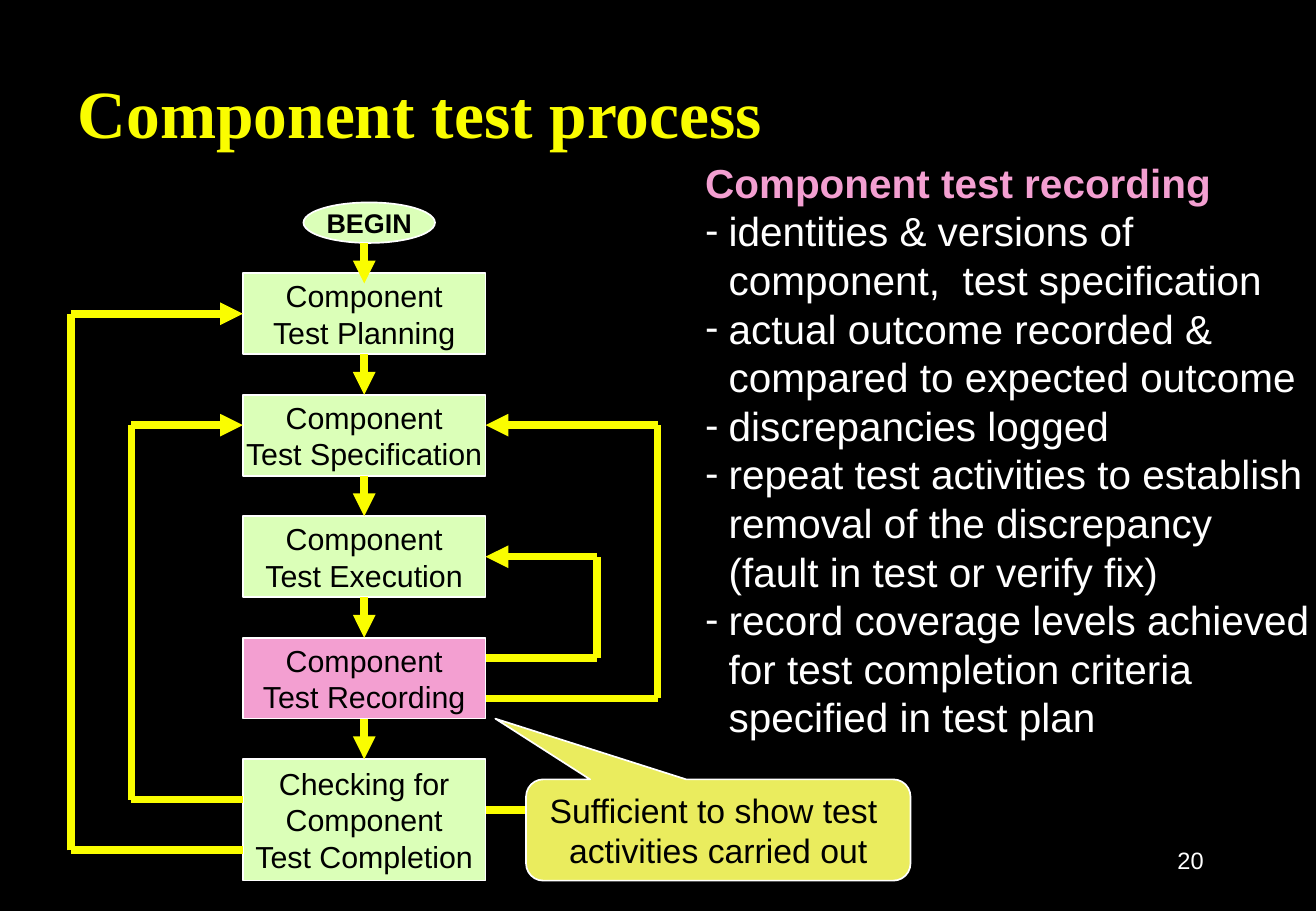
from pptx import Presentation
from pptx.dml.color import RGBColor
from pptx.enum.shapes import MSO_CONNECTOR as Connector, MSO_SHAPE as Shape
from pptx.enum.text import MSO_ANCHOR as Anchor, MSO_AUTO_SIZE as AutoSize, PP_ALIGN as Align
from pptx.oxml.ns import qn
from pptx.util import Pt
from lxml.etree import SubElement

BLACK, WHITE = "000000", "FFFFFF"
YELLOW, GREEN, PINK, SAND = "FAFD00", "DBFFB8", "F39FD1", "EAEC5E"
LINE_HEIGHT = 1.2

STEPS = [
    ("Component", "Test Planning"),
    ("Component", "Test Specification"),
    ("Component", "Test Execution"),
    ("Component", "Test Recording"),
    ("Checking for", "Component", "Test Completion"),
]
POINTS = [
    ("identities & versions of", "component,  test specification"),
    ("actual outcome recorded &", "compared to expected outcome"),
    ("discrepancies logged",),
    ("repeat test activities to establish", "removal of the discrepancy",
     "(fault in test or verify fix)"),
    ("record coverage levels achieved", "for test completion criteria",
     "specified in test plan"),
]


def color(hex_string):
    return RGBColor.from_string(hex_string)


def place(shape, left, top, width, height):
    shape.left, shape.top, shape.width, shape.height = map(Pt, (left, top, width, height))


def format_para(para, size, hex_string, bold=False, align=Align.LEFT, name="Arial"):
    para.alignment = align
    para.line_spacing = Pt(size * LINE_HEIGHT)
    para.space_before = para.space_after = Pt(0)
    font = para.font
    font.name, font.size, font.bold = name, Pt(size), bold
    font.color.rgb = color(hex_string)


def set_bullet(para, indent, tag, **attributes):
    """Set the hanging indent and the bullet, which stands before the font properties."""
    props = para._p.get_or_add_pPr()
    props.set("marL", str(Pt(indent)))
    props.set("indent", str(-Pt(indent)))
    bullet = SubElement(props, qn(tag), **attributes)
    props.find(qn("a:defRPr")).addprevious(bullet)


def add_label(slide, kind, box, lines, fill, size=18, bold=False):
    """Add a filled preset shape with centred lines of black text."""
    shape = slide.shapes.add_shape(kind, *map(Pt, box))
    shape.shadow.inherit = False
    shape.fill.solid()
    shape.fill.fore_color.rgb = color(fill)
    shape.line.color.rgb = color(WHITE)
    shape.line.width = Pt(1)
    frame = shape.text_frame
    frame.word_wrap = False
    frame.vertical_anchor = Anchor.MIDDLE
    frame.text = "\n".join(lines)
    for para in frame.paragraphs:
        format_para(para, size, BLACK, bold, Align.CENTER)
    return shape


def add_line(slide, start, end, arrow=False):
    line = slide.shapes.add_connector(Connector.STRAIGHT, *map(Pt, (*start, *end)))
    line.line.color.rgb = color(YELLOW)
    line.line.width = Pt(4.5)
    if arrow:
        SubElement(line.line._get_or_add_ln(), qn("a:tailEnd"), type="triangle")
    SubElement(line._element.spPr, qn("a:effectLst"))
    return line


def add_loop(slide, side, lane, start, end):
    """Lead from a box side out to a vertical lane and back to an earlier box."""
    add_line(slide, (side, start), (lane, start))
    add_line(slide, (lane, start), (lane, end))
    add_line(slide, (lane, end), (side, end), arrow=True)


def add_title(slide, box):
    title = slide.shapes.title
    place(title, *box)
    frame = title.text_frame
    frame.text = "Component test process"
    frame.auto_size = AutoSize.NONE
    frame.vertical_anchor = Anchor.MIDDLE
    format_para(frame.paragraphs[0], 40, YELLOW, True, name="Times New Roman")


def add_flow(slide, left, top, width):
    """Draw the five steps downwards from (left, top) with their arrows and loops."""
    right, middle = left + width, left + width / 2
    pitch, line_height = 72, 24
    boxes = []
    for index, lines in enumerate(STEPS):
        fill = PINK if "Test Recording" in lines else GREEN
        area = (left, top + index * pitch, width, len(lines) * line_height)
        boxes.append(add_label(slide, Shape.RECTANGLE, area, lines, fill))

    loops = [
        (left, left - 102, 342, 24),
        (left, left - 66, 312, 90),
        (right, right + 66, 228, 168),
        (right, right + 102, 252, 90),
    ]
    for side, lane, start, end in loops:
        add_loop(slide, side, lane, top + start, top + end)

    for upper, lower in zip(boxes, boxes[1:]):
        arrow = add_line(slide, (middle, top), (middle, top + pitch), arrow=True)
        arrow.begin_connect(upper, 2)
        arrow.end_connect(lower, 0)

    add_label(slide, Shape.OVAL, (left + 36, top - 42, 78, 24), ["BEGIN"], GREEN, 16, True)
    add_line(slide, (middle, top - 18), (middle, top + 6), arrow=True)
    add_line(slide, (right, top + 318), (right + 24, top + 318))


def add_points(slide, box):
    body = slide.placeholders[1]
    place(body, *box)
    frame = body.text_frame
    frame.word_wrap = False
    frame.auto_size = AutoSize.NONE
    frame.vertical_anchor = Anchor.TOP
    # A vertical tab becomes a line break inside the paragraph.
    frame.text = "\n".join(["Component test recording", *map("\v".join, POINTS)])
    heading, *points = frame.paragraphs
    format_para(heading, 24, PINK, True)
    set_bullet(heading, 0, "a:buNone")
    for para in points:
        format_para(para, 24, WHITE)
        set_bullet(para, 14, "a:buChar", char="-")


def add_callout(slide, box):
    lines = ["Sufficient to show test ", "activities carried out"]
    callout = add_label(slide, Shape.ROUNDED_RECTANGULAR_CALLOUT, box, lines, SAND, 20)
    for index, value in enumerate((-0.58, -1.1, 0.17)):
        callout.adjustments[index] = value


def add_page_number(slide, box):
    frame = slide.shapes.add_textbox(*map(Pt, box)).text_frame
    frame.word_wrap = True
    frame.vertical_anchor = Anchor.MIDDLE
    frame.text = "20"
    format_para(frame.paragraphs[0], 14, WHITE, align=Align.RIGHT)


def main():
    deck = Presentation()
    deck.slide_width, deck.slide_height = Pt(780.48), Pt(540)
    slide = deck.slides.add_slide(deck.slide_layouts[1])
    slide.background.fill.solid()
    slide.background.fill.fore_color.rgb = color(BLACK)
    add_title(slide, (39, 42, 663, 48))
    add_flow(slide, left=144, top=162, width=144)
    add_points(slide, (411, 90, 373, 353))
    add_callout(slide, (312, 462, 228, 60))
    add_page_number(slide, (559, 492, 162, 36))
    deck.save("out.pptx")


if __name__ == "__main__":
    main()
